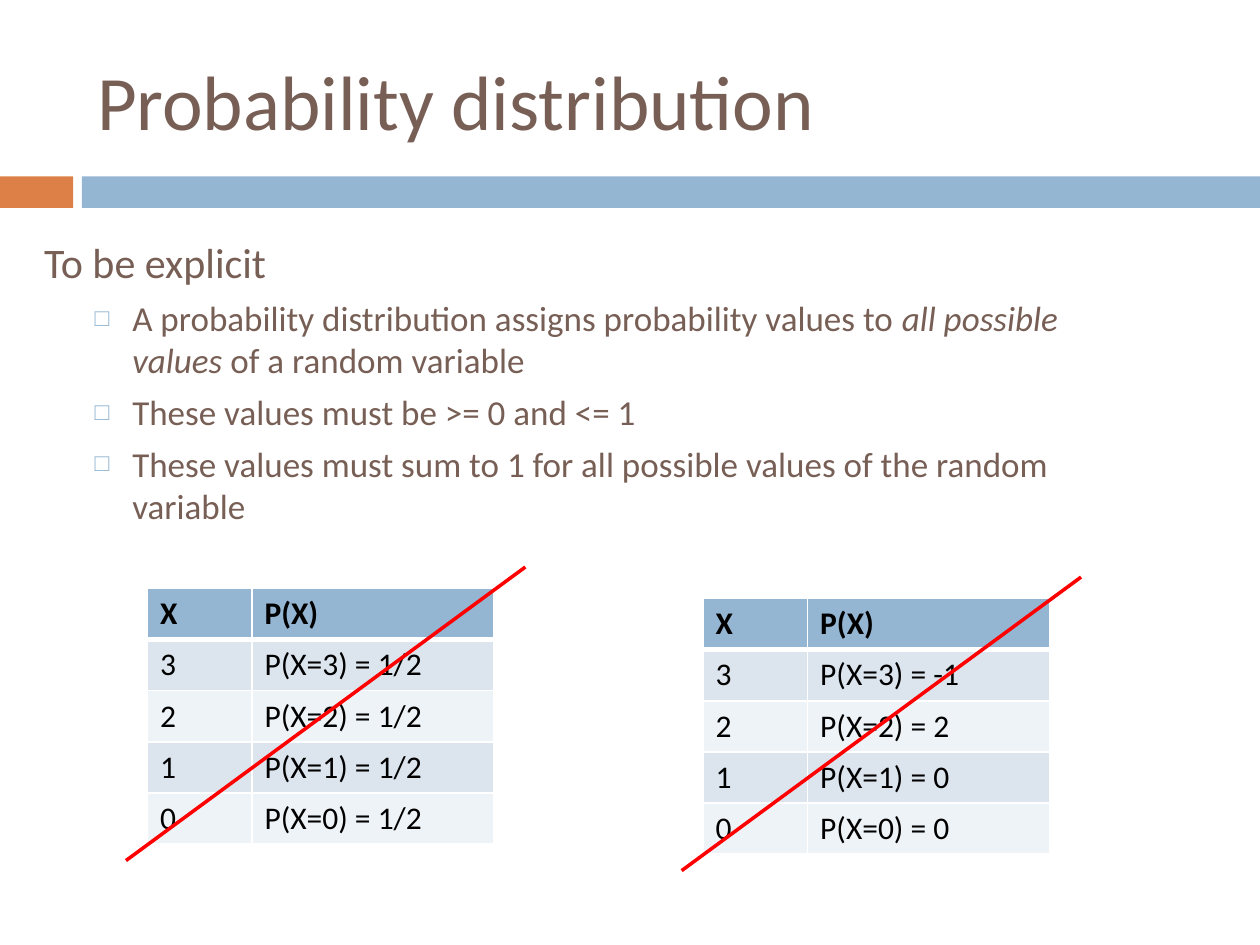
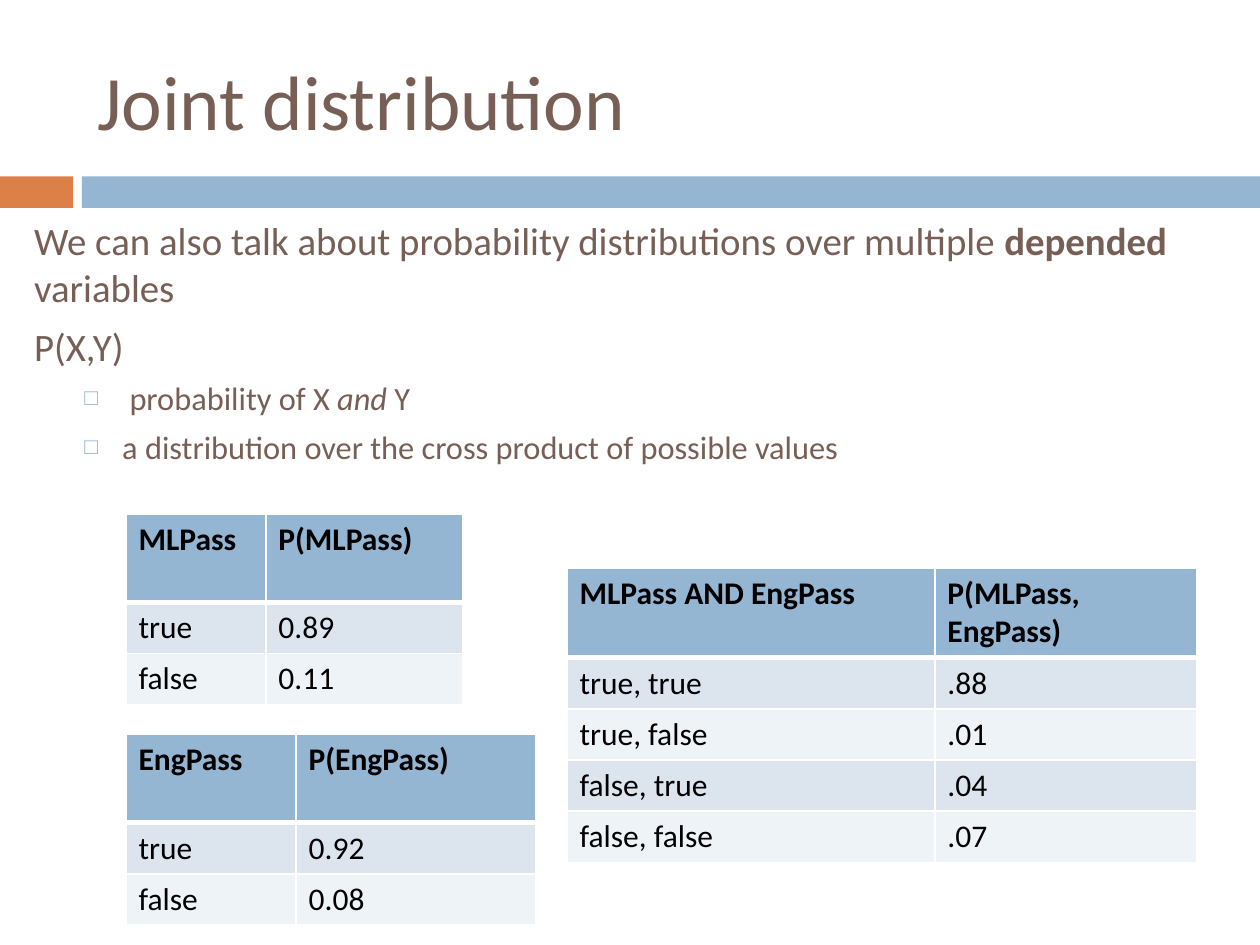
from lxml import etree
from pptx import Presentation
from pptx.dml.color import RGBColor
from pptx.enum import shapes, text
from pptx.oxml.ns import qn
from pptx.util import Inches, Pt

COLORS = {
    "brown": "775F55", "blue": "94B6D2", "orange": "DD8047",
    "row_dark": "DCE5EE", "row_light": "EEF3F7",
    "white": "FFFFFF", "black": "000000", "red": "FF0000",
}
FONT = "Calibri"
ROW_H = 0.406
TALL_HEADER = 0.7


def rgb(name):
    return RGBColor.from_string(COLORS[name])


def box(*lengths):
    return [Inches(n) for n in lengths]


def place(sp, *at):
    sp.left, sp.top, sp.width, sp.height = box(*at)


def add_run(p, words, size, color, bold=False, italic=False):
    r = p.add_run()
    r.text = words
    f = r.font
    f.name, f.size, f.bold, f.italic = FONT, Pt(size), bold, italic
    f.color.rgb = rgb(color)


def add_band(slide, at, color):
    sp = slide.shapes.add_shape(shapes.MSO_SHAPE.RECTANGLE, *box(*at))
    sp.shadow.inherit = False
    sp.fill.solid()
    sp.fill.fore_color.rgb = rgb(color)
    sp.line.fill.background()


def start_slide(prs, title):
    """Slide with the two bands and the title."""
    slide = prs.slides.add_slide(prs.slide_layouts[1])
    add_band(slide, (0, 1.4, 0.58, 0.25), "orange")
    add_band(slide, (0.65, 1.4, 9.35, 0.25), "blue")
    sp = slide.shapes.title
    place(sp, 0.67, 0.25, 8.92, 1.08)
    tf = sp.text_frame
    tf.auto_size = text.MSO_AUTO_SIZE.NONE
    tf.vertical_anchor = text.MSO_ANCHOR.MIDDLE
    p = tf.paragraphs[0]
    p.alignment = text.PP_ALIGN.LEFT
    add_run(p, title, 44, "brown")
    return slide


def set_bullet(p):
    """Hollow square for level 1, no bullet for level 0."""
    pPr = p._p.get_or_add_pPr()
    pPr.set("marL", str(Inches(0.7 if p.level else 0)))
    pPr.set("indent", str(Inches(-0.3 if p.level else 0)))
    if not p.level:
        etree.SubElement(pPr, qn("a:buNone"))
        return
    color = etree.SubElement(pPr, qn("a:buClr"))
    etree.SubElement(color, qn("a:srgbClr"), val=COLORS["blue"])
    etree.SubElement(pPr, qn("a:buSzPct"), val="70000")
    etree.SubElement(pPr, qn("a:buChar"), char="□")


def fill_body(slide, at, sizes, paragraphs):
    """Each paragraph is (level, runs); a run is (words, style)."""
    sp = slide.placeholders[1]
    place(sp, *at)
    tf = sp.text_frame
    tf.auto_size = text.MSO_AUTO_SIZE.NONE
    for i, (level, runs) in enumerate(paragraphs):
        p = tf.add_paragraph() if i else tf.paragraphs[0]
        p.level = level
        p.space_before = Pt((7, 5.5)[level])
        set_bullet(p)
        for words, style in runs:
            add_run(p, words, sizes[level], "brown", "b" in style, "i" in style)


def set_borders(cell, row):
    tcPr = cell._tc.get_or_add_tcPr()
    widths = {"L": 1, "R": 1, "T": 3 if row == 1 else 1, "B": 3 if row == 0 else 1}
    for side, width in widths.items():
        ln = etree.SubElement(tcPr, qn(f"a:ln{side}"), w=str(Pt(width)))
        fill = etree.SubElement(ln, qn("a:solidFill"))
        etree.SubElement(fill, qn("a:srgbClr"), val=COLORS["white"])


def add_prob_table(slide, left, top, col_widths, rows, header_h=ROW_H):
    heights = [header_h] + [ROW_H] * (len(rows) - 1)
    frame = slide.shapes.add_table(
        len(rows), len(col_widths), *box(left, top, sum(col_widths), sum(heights)))
    table = frame.table
    for col, width in zip(table.columns, col_widths):
        col.width = Inches(width)
    for i, (values, height) in enumerate(zip(rows, heights)):
        table.rows[i].height = Inches(height)
        color = "blue" if i == 0 else ("row_light", "row_dark")[i % 2]
        for j, value in enumerate(values):
            cell = table.cell(i, j)
            set_borders(cell, i)
            cell.fill.solid()
            cell.fill.fore_color.rgb = rgb(color)
            add_run(cell.text_frame.paragraphs[0], value, 18, "black", bold=i == 0)


def add_strike(slide, left, top):
    """Red diagonal across a table whose corner is at left, top."""
    line = slide.shapes.add_connector(
        shapes.MSO_CONNECTOR.STRAIGHT,
        *box(left - 0.17, top + 2.16, left + 3, top - 0.17))
    line.line.color.rgb = rgb("red")
    line.line.width = Pt(2)
    etree.SubElement(line._element.spPr, qn("a:effectLst"))


def probability_slide(prs):
    slide = start_slide(prs, "Probability distribution")
    fill_body(slide, (0.25, 1.83, 9, 2.92), (24, 20), [
        (0, [("To be explicit", "")]),
        (1, [("A probability distribution assigns probability values to ", ""),
             ("all possible values ", "i"), ("of a random variable", "")]),
        (1, [("These values must be >= 0 and <= 1", "")]),
        (1, [("These values must sum to 1 for all possible values of the "
              "random variable", "")]),
    ])
    # Invalid distributions, struck out
    invalid = [(1.17, 4.67, ["1/2"] * 4), (5.58, 4.75, ["-1", "2", "0", "0"])]
    for left, top, probs in invalid:
        rows = [(str(x), f"P(X={x}) = {prob}") for x, prob in zip((3, 2, 1, 0), probs)]
        add_prob_table(slide, left, top, (0.83, 1.92), [("X", "P(X)")] + rows)
    for left, top, _ in invalid:
        add_strike(slide, left, top)


def joint_slide(prs):
    slide = start_slide(prs, "Joint distribution")
    fill_body(slide, (0.17, 1.67, 9.67, 2), (22.2, 18.5), [
        (0, [("We can also talk about probability distributions over multiple ", ""),
             ("depended", "b"), (" variables", "")]),
        (0, [("P(X,Y)", "")]),
        (1, [(" probability of X ", ""), ("and", "i"), (" Y", "")]),
        (1, [("a distribution over the cross product of possible values", "")]),
    ])
    # Single variables on the left, joint table on the right
    for name, top, widths, yes, no in [
        ("MLPass", 4.08, (1.11, 1.56), "0.89", "0.11"),
        ("EngPass", 5.83, (1.35, 1.9), "0.92", "0.08"),
    ]:
        rows = [(name, f"P({name})"), ("true", yes), ("false", no)]
        add_prob_table(slide, 1, top, widths, rows, TALL_HEADER)
    add_prob_table(slide, 4.5, 4.51, (2.92, 2.08), [
        ("MLPass AND EngPass", "P(MLPass, EngPass)"),
        ("true, true", ".88"),
        ("true, false", ".01"),
        ("false, true", ".04"),
        ("false, false", ".07"),
    ], TALL_HEADER)


def main():
    prs = Presentation()
    prs.slide_width, prs.slide_height = box(10, 7.5)
    probability_slide(prs)
    joint_slide(prs)
    prs.save("out.pptx")


if __name__ == "__main__":
    main()
